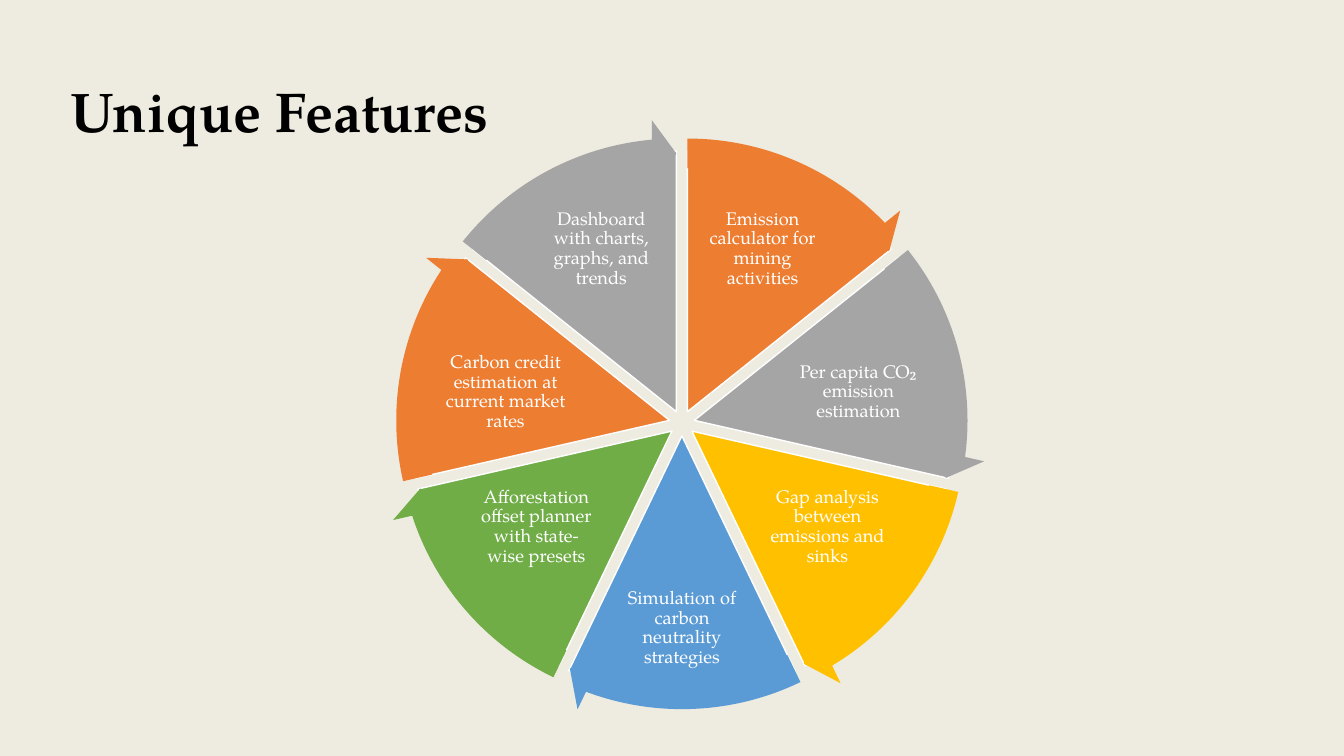
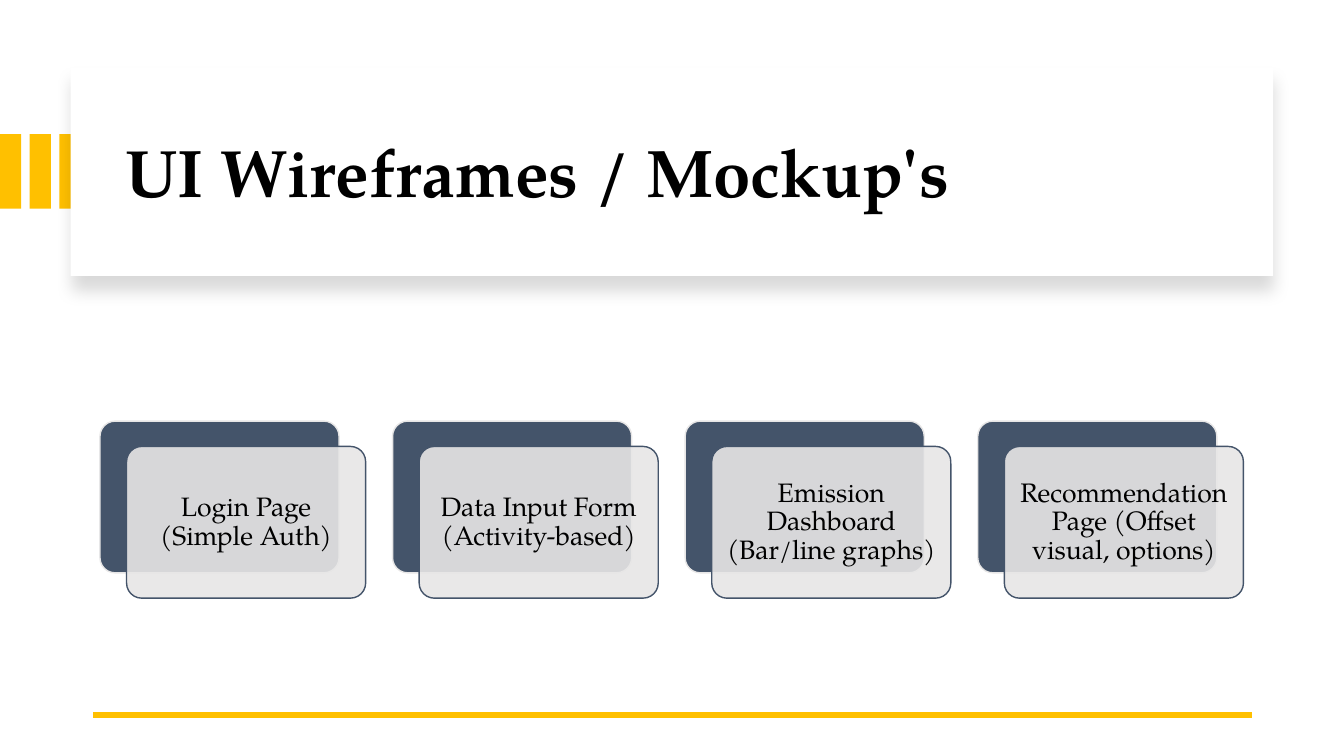
from dataclasses import dataclass
from math import cos, radians, sin

from lxml import etree
from pptx import Presentation
from pptx import util as u
from pptx.dml.color import RGBColor
from pptx.enum import shapes, text
from pptx.oxml.ns import qn
from pptx.slide import Slide

# Shared look
FONT = "TeX Gyre Pagella"
PAGE_WIDTH, PAGE_HEIGHT = 960, 540
COLORS = {
    "black": "000000", "white": "FFFFFF", "paper": "F2F2F2", "tint": "BF9000",
    "orange": "ED7D31", "gray": "A5A5A5", "gold": "FFC000", "blue": "5B9BD5",
    "green": "70AD47", "slate": "44546A", "silver": "E7E6E6",
}
KIND = shapes.MSO_SHAPE


@dataclass(frozen=True)
class Box:
    left: float
    top: float
    width: float
    height: float

    def lengths(self) -> list[u.Length]:
        return [u.Pt(n) for n in (self.left, self.top, self.width, self.height)]


@dataclass(frozen=True)
class Wedge:
    label: str
    color: str
    dx: float  # label centre, measured from the wheel centre
    dy: float
    width: float
    height: float


# Wheel geometry
WHEEL_X, WHEEL_Y = 487.1, 302.3
PIE_SIZE, ARROW_SIZE, SPREAD = 372.2, 418.3, 9.1
ARROW_HEAD = 3.28
FULL_TURN, TWELVE_OCLOCK = 216, 162  # adjustment units, 0.6 per degree

WEDGES = [
    Wedge("Emission calculator for mining activities", "orange", 57.6, -124.6, 88.6, 70.6),
    Wedge("Per capita CO₂ emission estimation", "gray", 126, -22.3, 101.5, 62),
    Wedge("Gap analysis between emissions and sinks", "gold", 104, 73.9, 88.6, 68.4),
    Wedge("Simulation of carbon neutrality strategies", "blue", 0, 146.3, 86.4, 62),
    Wedge("Afforestation offset planner with state-wise presets", "green", -104, 73.9, 88.6, 68.4),
    Wedge("Carbon credit estimation at current market rates", "orange", -126, -22.3, 101.5, 62),
    Wedge("Dashboard with charts, graphs, and trends", "gray", -57.6, -124.6, 88.6, 70.6),
]

CARDS = [
    "Login Page (Simple Auth)",
    "Data Input Form (Activity-based)",
    "Emission Dashboard (Bar/line graphs)",
    "Recommendation Page (Offset visual, options)",
]


def rgb(name: str) -> RGBColor:
    return RGBColor.from_string(COLORS[name])


def add_alpha(color_node, percent: float) -> None:
    etree.SubElement(color_node, qn("a:alpha")).set("val", str(int(percent * 1000)))


def add_shape(page: Slide, kind, box: Box, fill: str, line: str | None = None,
              adjust: tuple = (), opacity: float = 100):
    shape = page.shapes.add_shape(kind, *box.lengths())
    for index, value in enumerate(adjust):
        shape.adjustments[index] = value
    shape.fill.solid()
    shape.fill.fore_color.rgb = rgb(fill)
    if opacity < 100:
        add_alpha(shape.element.spPr.find(qn("a:solidFill"))[0], opacity)
    if line:
        shape.line.color.rgb = rgb(line)
        shape.line.width = u.Pt(1)
    else:
        shape.line.fill.background()
    shape.shadow.inherit = False
    return shape


def write(shape, words: str, size: float, color: str, inset: float | None = None,
          align=text.PP_ALIGN.CENTER, bold: bool = False) -> None:
    frame = shape.text_frame
    frame.word_wrap = True
    frame.auto_size = text.MSO_AUTO_SIZE.NONE
    frame.vertical_anchor = text.MSO_ANCHOR.MIDDLE
    if inset is not None:
        frame.margin_left = frame.margin_right = u.Pt(inset)
        frame.margin_top = frame.margin_bottom = u.Pt(inset)
    para = frame.paragraphs[0]
    para.alignment = align
    para.line_spacing = 0.9
    span = para.add_run()
    span.text = words
    span.font.name = FONT
    span.font.size = u.Pt(size)
    span.font.bold = bold
    span.font.color.rgb = rgb(color)


def set_title(page: Slide, words: str, box: Box, size: float) -> None:
    title = page.shapes.title
    title.left, title.top, title.width, title.height = box.lengths()
    write(title, words, size, "black", align=text.PP_ALIGN.LEFT, bold=True)
    page.shapes.element.append(title.element)  # bring in front of the backdrop


def square(center_x: float, center_y: float, size: float) -> Box:
    return Box(center_x - size / 2, center_y - size / 2, size, size)


def build_features(page: Slide) -> None:
    # Tinted backdrop and title
    whole_page = Box(0, 0, PAGE_WIDTH, PAGE_HEIGHT)
    add_shape(page, KIND.RECTANGLE, whole_page, "paper")
    add_shape(page, KIND.RECTANGLE, whole_page, "tint", opacity=7)
    set_title(page, "Unique Features", Box(43.2, 28.8, 873.4, 106), 40)

    # Wedges with labels, each pushed outwards along its own middle
    step = FULL_TURN / len(WEDGES)
    arrows = []
    for index, wedge in enumerate(WEDGES):
        start = (TWELVE_OCLOCK + index * step) % FULL_TURN
        end = (start + step) % FULL_TURN
        middle = radians((start + step / 2) / 0.6)
        x = WHEEL_X + SPREAD * cos(middle)
        y = WHEEL_Y + SPREAD * sin(middle)
        add_shape(page, KIND.PIE, square(x, y, PIE_SIZE), wedge.color, "white", (start, end))
        label_box = Box(WHEEL_X + wedge.dx - wedge.width / 2,
                        WHEEL_Y + wedge.dy - wedge.height / 2, wedge.width, wedge.height)
        label = page.shapes.add_textbox(*label_box.lengths())
        write(label, wedge.label, 13, "white", inset=1.3)
        arrow_end = (end - ARROW_HEAD) % FULL_TURN
        arrows.append((square(x, y, ARROW_SIZE), wedge.color,
                       (0.051, 3.275, arrow_end, start, 0.059)))

    # Rim arrows lie over all wedges
    for box, color, adjust in arrows:
        add_shape(page, KIND.CIRCULAR_ARROW, box, color, adjust=adjust)


def add_soft_shadow(shape) -> None:
    effects = shape.element.spPr.find(qn("a:effectLst"))
    shadow = etree.SubElement(effects, qn("a:outerShdw"))
    for key, value in (("blurRad", u.Pt(11)), ("dist", u.Pt(10)), ("dir", 90 * 60000)):
        shadow.set(key, str(int(value)))
    shadow.set("algn", "t")
    shadow.set("rotWithShape", "0")
    color = etree.SubElement(shadow, qn("a:srgbClr"))
    color.set("val", COLORS["black"])
    add_alpha(color, 15)


def build_wireframes(page: Slide) -> None:
    # Stripes, title panel and title
    for index in range(3):
        add_shape(page, KIND.RECTANGLE, Box(index * 21.2, 95.8, 15.2, 53.2), "gold")
    panel = add_shape(page, KIND.RECTANGLE, Box(50.4, 48.2, 859, 149), "white")
    add_soft_shadow(panel)
    set_title(page, "UI Wireframes / Mockup's", Box(82.1, 64.1, 801.4, 122.4), 48)

    # Base rule
    rule = page.shapes.add_connector(shapes.MSO_CONNECTOR.STRAIGHT,
                                     u.Pt(894.2), u.Pt(510.5), u.Pt(66.2), u.Pt(510.5))
    rule.line.color.rgb = rgb("gold")
    rule.line.width = u.Pt(4.5)
    etree.SubElement(rule.element.spPr, qn("a:effectLst"))

    # Cards: a dark plate with a translucent one in front
    for index, words in enumerate(CARDS):
        left = 71.4 + 209 * index
        add_shape(page, KIND.ROUNDED_RECTANGLE, Box(left, 300.8, 170.8, 108.4),
                  "slate", "silver", (0.1,))
        front = add_shape(page, KIND.ROUNDED_RECTANGLE, Box(left + 19, 318.9, 170.8, 108.4),
                          "silver", "slate", (0.1,), opacity=90)
        write(front, words, 19, "black", inset=5.7)


def main() -> None:
    deck = Presentation()
    deck.slide_width, deck.slide_height = u.Pt(PAGE_WIDTH), u.Pt(PAGE_HEIGHT)
    title_only = deck.slide_layouts[5]
    for build in (build_features, build_wireframes):
        build(deck.slides.add_slide(title_only))
    deck.save("out.pptx")


if __name__ == "__main__":
    main()
